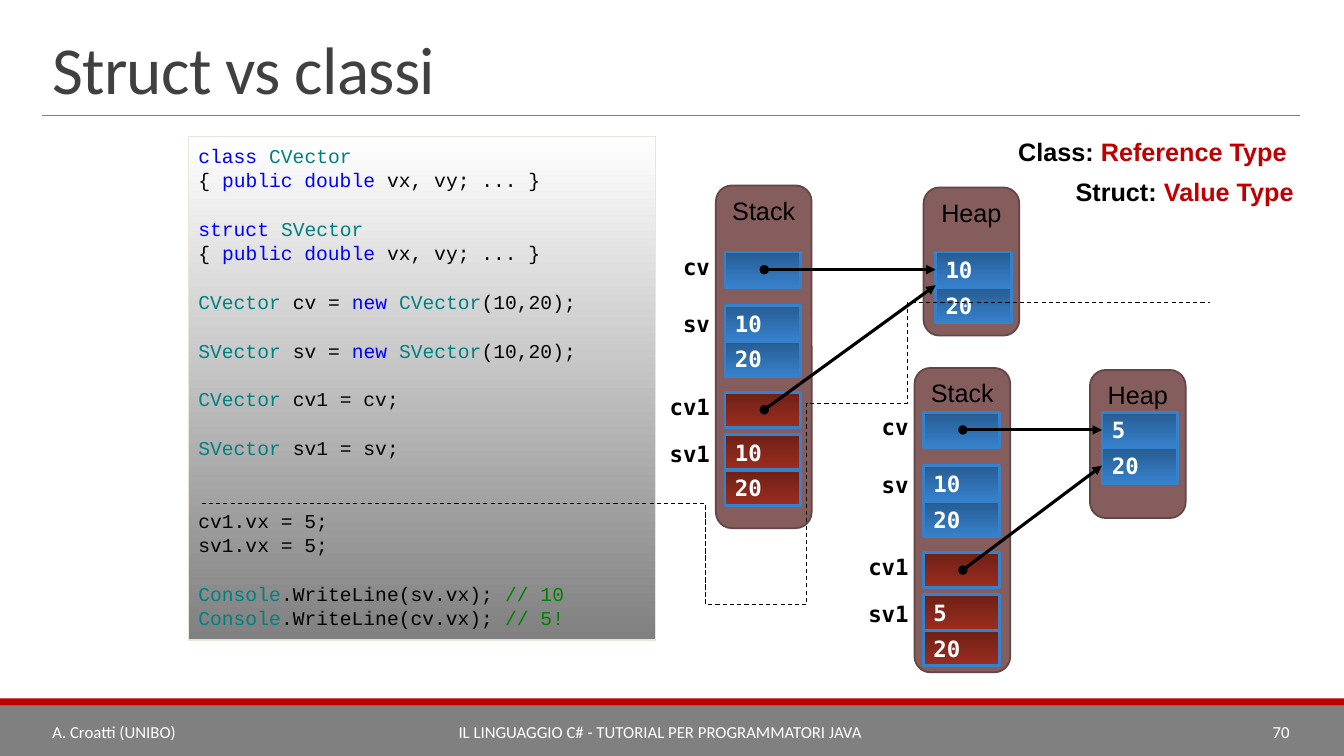
from lxml import etree
from pptx import Presentation
from pptx import util as u
from pptx.dml import color
from pptx.enum import dml, shapes, text
from pptx.oxml import ns

WIDTH, HEIGHT = 13.33, 7.5
MARGIN = 0.42
COLORS = {
    "plain": "000000", "keyword": "0000FF", "type": "008080", "comment": "008000",
    "white": "FFFFFF", "gray": "808080", "title": "404040", "accent": "C00000",
    "code_edge": "E9E5DC", "memory": "855D5D", "memory_edge": "624545",
    "blue_dark": "275C92", "blue": "3681CC", "red_dark": "6F2016", "red": "9B2D1F",
}
BLUE, RED = ("blue_dark", "blue"), ("red_dark", "red")
LEFT, CENTER, RIGHT = text.PP_ALIGN.LEFT, text.PP_ALIGN.CENTER, text.PP_ALIGN.RIGHT
TOP, MIDDLE, BOTTOM = (text.MSO_ANCHOR.TOP, text.MSO_ANCHOR.MIDDLE,
                       text.MSO_ANCHOR.BOTTOM)
MONO = "DejaVu Sans Mono"

FIELDS = [("{ ", "plain"), ("public double ", "keyword"), ("vx, vy; ... }", "plain")]


def creation(kind, name):
    return [(kind, "type"), (f" {name} = ", "plain"), ("new ", "keyword"),
            (kind, "type"), ("(10,20);", "plain")]


def printing(variable, comment):
    return [("Console", "type"), (f".WriteLine({variable}.vx); ", "plain"),
            (comment, "comment")]


CODE = [
    [("class ", "keyword"), ("CVector", "type")], FIELDS, [],
    [("struct ", "keyword"), ("SVector", "type")], FIELDS, [],
    creation("CVector", "cv"), [],
    creation("SVector", "sv"), [],
    [("CVector", "type"), (" cv1 = cv;", "plain")], [],
    [("SVector", "type"), (" sv1 = sv;", "plain")], [], [],
    [("cv1.vx = 5;", "plain")], [("sv1.vx = 5;", "plain")], [],
    printing("sv", "// 10"), printing("cv", "// 5!"),
]

DIVIDER_START = (1.75, 4.92)
DIVIDER_CURVES = [
    ((2.54, 4.92), (6.5, 4.61), (6.6, 4.82)),
    ((6.88, 5.4), (6.65, 5.27), (6.74, 5.38)),
    ((6.83, 5.5), (6.87, 5.51), (7.14, 5.5)),
    ((7.41, 5.49), (8.15, 5.61), (8.34, 5.32)),
    ((8.54, 5.04), (8.22, 4.1), (8.33, 3.78)),
    ((8.44, 3.47), (8.41, 3.61), (9, 3.44)),
    ((9.6, 3.28), (10.95, 3.46), (11.55, 3.32)),
]


def rgb(name):
    return color.RGBColor.from_string(COLORS[name])


def write(box, lines, font="Calibri", size=12, bold=False, align=LEFT, anchor=TOP,
          wrap=True, inset=(0.1, 0.05), spacing=None, tracking=None):
    """Fill a shape with lines, each a list of (text, color name) pairs."""
    frame = box.text_frame
    frame.word_wrap, frame.vertical_anchor = wrap, anchor
    frame.margin_left = frame.margin_right = u.Inches(inset[0])
    frame.margin_top = frame.margin_bottom = u.Inches(inset[1])
    for number, line in enumerate(lines):
        para = frame.paragraphs[0] if number == 0 else frame.add_paragraph()
        para.alignment, para.line_spacing = align, spacing
        para.font.size = u.Pt(size)
        for words, name in line:
            span = para.add_run()
            span.text = words
            span.font.name, span.font.size, span.font.bold = font, u.Pt(size), bold
            span.font.color.rgb = rgb(name)
            if tracking is not None:
                span.font._element.set("spc", str(tracking))


def add_label(parent, left, top, width, height, lines, **style):
    box = parent.shapes.add_textbox(*map(u.Inches, (left, top, width, height)))
    write(box, lines, **style)
    return box


def add_block(parent, left, top, width, height, fill, edge=None, weight=1,
              kind=shapes.MSO_SHAPE.RECTANGLE):
    """Add a shape; a pair of fill names gives a gradient from top to bottom."""
    block = parent.shapes.add_shape(kind, *map(u.Inches, (left, top, width, height)))
    block.shadow.inherit = False
    if isinstance(fill, tuple):
        block.fill.gradient()
        block.fill.gradient_angle = 270
        for stop, name, position in zip(block.fill.gradient_stops, fill, (0, 1)):
            stop.color.rgb, stop.position = rgb(name), position
    else:
        block.fill.solid()
        block.fill.fore_color.rgb = rgb(fill)
    if edge:
        block.line.color.rgb = rgb(edge)
        block.line.width = u.Pt(weight)
    else:
        block.line.fill.background()
    return block


def add_line(parent, start, end, name, weight, arrow=False):
    line = parent.shapes.add_connector(shapes.MSO_CONNECTOR.STRAIGHT,
                                       *map(u.Inches, (*start, *end)))
    line.line.color.rgb = rgb(name)
    line.line.width = u.Pt(weight)
    if arrow:
        outline = line.line._get_or_add_ln()
        for tag, kind in (("a:headEnd", "oval"), ("a:tailEnd", "triangle")):
            etree.SubElement(outline, ns.qn(tag), type=kind)
    etree.SubElement(line._element.spPr, ns.qn("a:effectLst"))
    return line


def add_header(page, left, top, width, height):
    add_label(page, left, top, width, height, [[("Struct vs classi", "title")]],
              size=48, anchor=BOTTOM, spacing=0.85, tracking=-50)
    add_line(page, (left, top + height + 0.02), (left + width, top + height + 0.02),
             "gray", 0.5)


def add_footer(page, top, height):
    add_block(page, 0, top, WIDTH, height, "gray")
    add_block(page, 0, top - 0.07, WIDTH, 0.07, "accent")
    left = MARGIN
    for words, width, align in (
            ("A. Croatti (UNIBO)", 1.85, LEFT),
            ("IL LINGUAGGIO C# - TUTORIAL PER PROGRAMMATORI JAVA", 8.56, CENTER),
            ("70", 2.06, RIGHT)):
        add_label(page, left, top + 0.06, width, 0.4, [[(words, "white")]],
                  align=align, anchor=MIDDLE)
        left += width


def add_code(page, left, top, width, height):
    box = add_block(page, left, top, width, height, ("white", "gray"),
                    "code_edge", 0.75)
    write(box, CODE, font="Courier New", size=14, inset=(0.1, 0.07),
          spacing=u.Pt(17.4))


def add_summary(page, top):
    for row, (left, width, subject, kind) in enumerate((
            (10, 2.88, "Class: ", "Reference Type"),
            (10.57, 2.4, "Struct: ", "Value Type"))):
        add_label(page, left, top + row * 0.4, width, 0.4,
                  [[(subject, "plain"), (kind, "accent")]],
                  font="Arial", size=18, bold=True, wrap=False)


def add_memory(page, left, top, height, heap_gap, first_row, heap_x, copied_x, bend):
    """Draw stack and heap; bend is the second arrow's end, None to join the cell."""
    group = page.shapes.add_group_shape()
    heap_left = left + heap_gap
    cell_width, cell_height, step = 0.75, 0.35, 0.355
    for name, x, y, tall in (("Heap", heap_left, top + 0.02, 1.47),
                             ("Stack", left, top, height)):
        area = add_block(group, x, y, 0.95, tall, "memory", "memory_edge", 1.25,
                         shapes.MSO_SHAPE.ROUNDED_RECTANGLE)
        write(area, [[(name, "plain")]], font="Arial", size=18, align=CENTER,
              inset=(0, 0.05))

    def add_cells(x, y, values, fill):
        cells = []
        for row, value in enumerate(values):
            cell = add_block(group, x, y + row * step, cell_width, cell_height,
                             fill, "blue", 2)
            if value:
                write(cell, [[(value, "white")]], font=MONO, size=16, bold=True,
                      anchor=MIDDLE, wrap=False)
            cells.append(cell)
        return cells

    heap_cells = add_cells(heap_left + 0.12, first_row, (heap_x, "20"), BLUE)
    for name, offset, lift, values, fill in (
            ("cv", 0, 0.04, ("",), BLUE), ("sv", 0.53, 0, ("10", "20"), BLUE),
            ("cv1", 1.39, 0.04, ("",), RED),
            ("sv1", 1.81, 0, (copied_x, "20"), RED)):
        add_cells(left + 0.09, first_row + offset, values, fill)
        add_label(group, left - 0.6, first_row + offset - lift, 0.64, 0.37,
                  [[(name, "plain")]], font=MONO, size=16, bold=True,
                  align=RIGHT, anchor=MIDDLE)
    for offset, target, end in ((0, heap_cells[0], None), (1.39, heap_cells[1], bend)):
        start = (left + 0.48, first_row + offset + cell_height / 2)
        arrow = add_line(group, start, (heap_left + 0.12, end or first_row),
                         "plain", 2.25, arrow=True)
        if end is None:
            arrow.end_connect(target, 1)


def add_divider(page, steps=16):
    """Trace the dashed border through its cubic curves."""
    points, start = [], DIVIDER_START
    for first, second, end in DIVIDER_CURVES:
        for t in (step / steps for step in range(1, steps + 1)):
            s = 1 - t
            points.append(tuple(
                s**3 * a + 3 * s * s * t * b + 3 * s * t * t * c + t**3 * d
                for a, b, c, d in zip(start, first, second, end)))
        start = end
    builder = page.shapes.build_freeform(*DIVIDER_START, scale=u.Inches(1))
    builder.add_line_segments(points, close=False)
    divider = builder.convert_to_shape()
    divider.shadow.inherit = False
    divider.fill.background()
    divider.line.color.rgb = rgb("plain")
    divider.line.width = u.Pt(0.75)
    divider.line.dash_style = dml.MSO_LINE.DASH


def main():
    deck = Presentation()
    deck.slide_width, deck.slide_height = u.Inches(WIDTH), u.Inches(HEIGHT)
    page = deck.slides.add_slide(deck.slide_layouts[6])
    add_header(page, MARGIN, 0.31, 12.47, 0.81)
    add_code(page, 1.87, 1.35, 4.63, 5)
    add_summary(page, 1.3)
    add_memory(page, 7.1, 1.84, 3.4, 2.06, 2.5, "10", "10", 2.83)
    add_memory(page, 9.07, 3.65, 3.02, 1.74, 4.09, "5", "5", None)
    add_divider(page)
    add_footer(page, 7, 0.5)
    deck.save("out.pptx")


if __name__ == "__main__":
    main()
